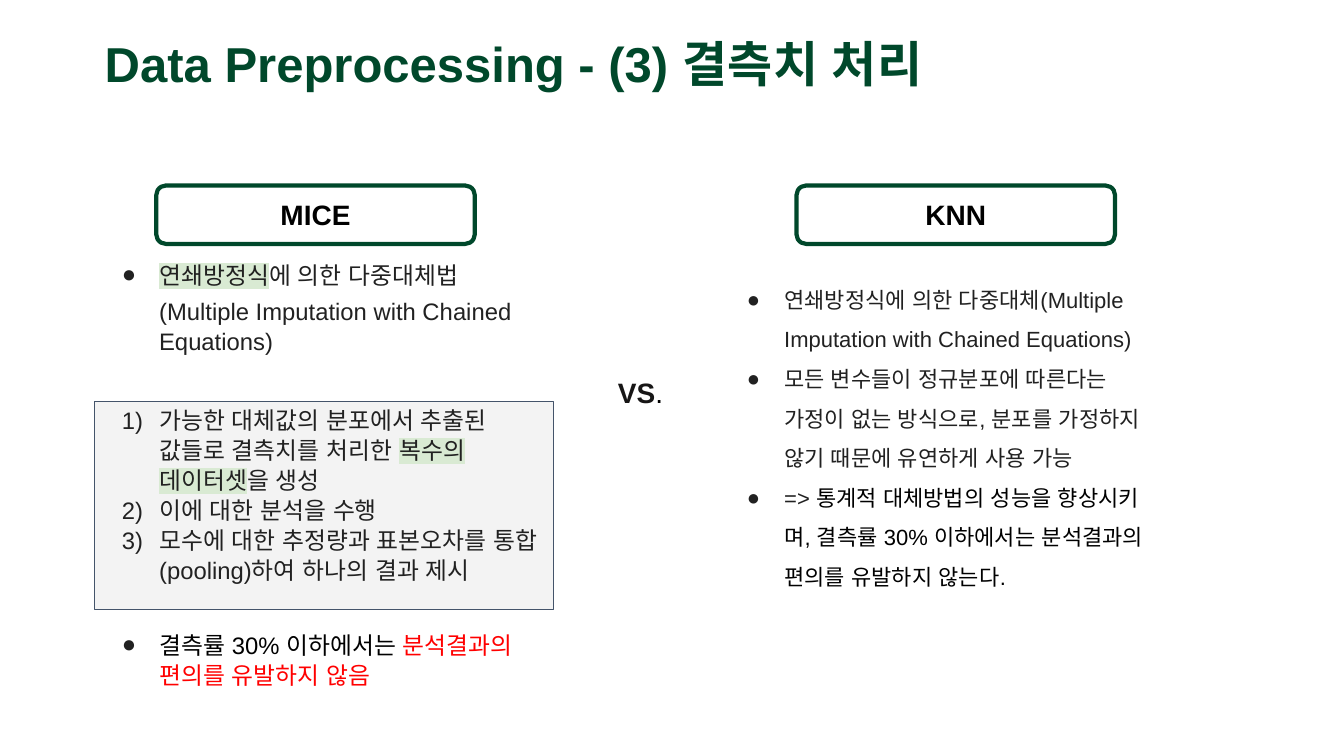
from lxml.etree import SubElement
from pptx import Presentation
from pptx.dml.color import RGBColor
from pptx.enum.lang import MSO_LANGUAGE_ID
from pptx.enum.shapes import MSO_SHAPE
from pptx.enum.text import MSO_ANCHOR, PP_ALIGN
from pptx.oxml.ns import qn
from pptx.util import Inches, Pt

GREEN, INK, BLACK, RED = "00482B", "212121", "000000", "FF0000"
MINT = "D9EAD3"


def color(value):
    return RGBColor.from_string(value)


class SlideBuilder:
    font = "Arial"

    def __init__(self, slide):
        self.slide = slide

    def style_run(self, run, size, ink, bold=False, highlight=None):
        run.font.size = Pt(size)
        run.font.bold = bold
        run.font.name = self.font
        run.font.color.rgb = color(ink)
        run.font.language_id = MSO_LANGUAGE_ID.KOREAN
        properties = run.font._element
        latin = properties.find(qn("a:latin"))
        east_asian = SubElement(properties, qn("a:ea"), typeface=self.font)
        latin.addnext(east_asian)
        if highlight:
            mark = SubElement(properties, qn("a:highlight"))
            SubElement(mark, qn("a:srgbClr"), val=highlight)
            latin.addprevious(mark)

    def box(self, kind, left, top, width, height, fill, line, line_width):
        shape = self.slide.shapes.add_shape(
            kind, Inches(left), Inches(top), Inches(width), Inches(height))
        shape.shadow.inherit = False
        shape.fill.solid()
        shape.fill.fore_color.rgb = color(fill)
        shape.line.color.rgb = color(line)
        shape.line.width = Pt(line_width)
        return shape

    def heading(self, text, left):
        shape = self.box(MSO_SHAPE.ROUNDED_RECTANGLE, left, 1.84, 3.16, 0.58,
                         "FFFFFF", GREEN, 3)
        shape.text_frame.text = text
        shape.text_frame.vertical_anchor = MSO_ANCHOR.MIDDLE
        paragraph = shape.text_frame.paragraphs[0]
        paragraph.alignment = PP_ALIGN.CENTER
        self.style_run(paragraph.runs[0], 20, BLACK, True)

    def text_box(self, left, top, width, height):
        shape = self.slide.shapes.add_textbox(
            Inches(left), Inches(top), Inches(width), Inches(height))
        shape.text_frame.word_wrap = True
        return shape.text_frame

    def add_bullet(self, paragraph, bullet):
        """Indent the paragraph and give it a dot, a number or nothing."""
        properties = paragraph._p.get_or_add_pPr()
        properties.set("marL", str(Inches(0.5)))
        properties.set("indent", str(Inches(-0.37) if bullet else 0))
        if not bullet:
            SubElement(properties, qn("a:buNone"))
            return
        bullet_color = SubElement(properties, qn("a:buClr"))
        SubElement(bullet_color, qn("a:srgbClr"), val=INK)
        SubElement(properties, qn("a:buFont"), typeface=self.font)
        if bullet == "1)":
            SubElement(properties, qn("a:buAutoNum"), type="arabicParenR")
        else:
            SubElement(properties, qn("a:buChar"), char=bullet)

    def bullets(self, left, top, height, size, pitch, items, gap=0):
        """Each item is a bullet and its runs: text, colour, highlight."""
        frame = self.text_box(left, top, 4.46, height)
        for index, (bullet, runs) in enumerate(items):
            paragraph = frame.add_paragraph() if index else frame.paragraphs[0]
            self.add_bullet(paragraph, bullet)
            paragraph.line_spacing = Pt(pitch)
            paragraph.space_before = Pt(gap if index else 0)
            for text, ink, highlight in runs:
                run = paragraph.add_run()
                run.text = text
                self.style_run(run, size, ink, highlight=highlight)


def main():
    presentation = Presentation()
    presentation.slide_width = Inches(13.33)
    presentation.slide_height = Inches(7.5)
    slide = presentation.slides.add_slide(presentation.slide_layouts[6])
    builder = SlideBuilder(slide)

    # Title
    title = builder.text_box(0.94, 0.22, 11.01, 0.89)
    title.text = "Data Preprocessing - (3) 결측치 처리"
    title.vertical_anchor = MSO_ANCHOR.MIDDLE
    title.paragraphs[0].line_spacing = 0.9
    builder.style_run(title.paragraphs[0].runs[0], 35, GREEN, True)

    # Panel behind the steps, and the two headings
    builder.box(MSO_SHAPE.RECTANGLE, 0.94, 3.98, 4.55, 2.07,
                "F3F3F3", "44546A", 0.75)
    builder.heading("MICE", 1.55)
    builder.heading("KNN", 7.9)

    # Versus label
    versus = builder.text_box(6.03, 3.68, 0.82, 0.45)
    versus.text = "VS"
    builder.style_run(versus.paragraphs[0].runs[0], 20, "171616", True)
    period = versus.paragraphs[0].add_run()
    period.text = "."
    builder.style_run(period, 20, BLACK)

    # MICE: method, steps, result
    mice_size, mice_pitch = 17, 21.4
    builder.bullets(0.98, 2.52, 1.1, mice_size, mice_pitch, [
        ("●", [("연쇄방정식", INK, MINT), ("에 의한 다중대체법", INK, None)]),
        (None, [("(Multiple Imputation with Chained Equations)", INK, None)]),
    ], gap=4.3)
    builder.bullets(0.98, 3.96, 1.9, mice_size, mice_pitch, [
        ("1)", [("가능한 대체값의 분포에서 추출된 값들로 결측치를 처리한 ", INK, None),
                ("복수의 데이터셋", INK, MINT), ("을 생성", INK, None)]),
        ("1)", [("이에 대한 분석을 수행", INK, None)]),
        ("1)", [("모수에 대한 추정량과 표본오차를 통합(pooling)하여 하나의 결과 제시",
                 INK, None)]),
    ])
    builder.bullets(0.98, 6.19, 0.75, mice_size, mice_pitch, [
        ("●", [("결측률 30% 이하에서는 ", BLACK, None),
               ("분석결과의 편의를 유발하지 않음", RED, None)]),
    ])

    # KNN
    builder.bullets(7.18, 2.66, 3.3, 15.7, 28.3, [
        ("●", [("연쇄방정식에 의한 다중대체(Multiple Imputation with Chained Equations)",
                INK, None)]),
        ("●", [("모든 변수들이 정규분포에 따른다는 가정이 없는 방식으로, "
                "분포를 가정하지 않기 때문에 유연하게 사용 가능", INK, None)]),
        ("●", [("=> ", INK, None),
               ("통계적 대체방법의 성능을 향상시키며, 결측률 30% 이하에서는 "
                "분석결과의 편의를 유발하지 않는다.", BLACK, None)]),
    ])

    presentation.save("out.pptx")


if __name__ == "__main__":
    main()
